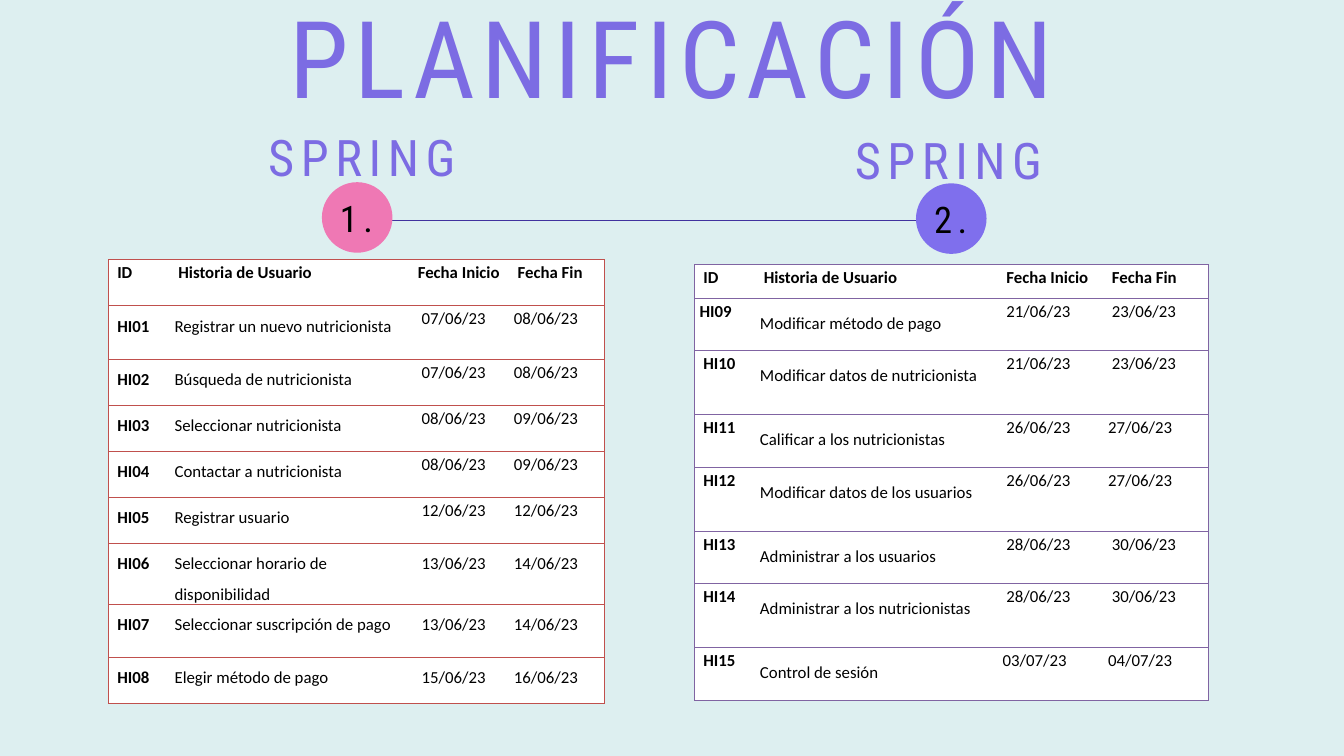
"""Builds the planning slide: two sprints, each with its table of user stories."""
import pptx
import pptx.dml.color
import pptx.enum.shapes
import pptx.enum.text
import pptx.oxml
import pptx.oxml.ns
import pptx.util

Pt = pptx.util.Pt
DISPLAY, BODY = "Roboto Condensed", "Calibri"
BACKGROUND, VIOLET, BLACK, WHITE, LINE = "DDEFF0", "7C6CE3", "000000", "FFFFFF", "40329E"
NO_STYLE = "{2D5ABB26-0587-4C30-8999-92F81FD0307C}"

TITLE = "PLANIFICACIÓN"
SPRINTS = [
    {
        "label": "SPRING", "label_at": (274.3, 118.8), "number": "1.", "circle": "EF78B4",
        "circle_at": (344.9, 195.2), "table_at": (116.6, 278), "border": "C0504D",
        "widths": (65.5, 260.6, 103, 102.2),
        "heights": (49.7, 56.9, 49.5, 49.2, 49.5, 49.2, 56.9, 56.9, 49.2),
        "loose_columns": (0, 1), "loose_from": 6, "story_inset": 0,
        "rows": [
            (" ID", " Historia de Usuario", "Fecha Inicio", " Fecha Fin"),
            (" HI01", "Registrar un nuevo nutricionista", " 07/06/23", "08/06/23"),
            (" HI02", "Búsqueda de nutricionista", " 07/06/23", "08/06/23"),
            (" HI03", "Seleccionar nutricionista", " 08/06/23", "09/06/23"),
            (" HI04", "Contactar a nutricionista", " 08/06/23", "09/06/23"),
            (" HI05", "Registrar usuario", " 12/06/23", "12/06/23"),
            (" HI06", "Seleccionar horario de disponibilidad", " 13/06/23", "14/06/23"),
            (" HI07", "Seleccionar suscripción de pago", " 13/06/23", "14/06/23"),
            (" HI08", "Elegir método de pago", " 15/06/23", "16/06/23"),
        ],
    },
    {
        "label": "SPRING", "label_at": (902.9, 121.7), "number": "2.", "circle": "7F6FED",
        "circle_at": (981.4, 196.4), "table_at": (744.5, 283.7), "border": "8064A2",
        "widths": (64.8, 260, 113, 112.3),
        "heights": (36, 56.2, 68.6, 56.2, 68.6, 56.2, 68.6, 56.2),
        "loose_columns": (1,), "loose_from": 8, "story_inset": 5,
        "rows": [
            (" ID", " Historia de Usuario", " Fecha Inicio", " Fecha Fin"),
            ("HI09", "Modificar método de pago", " 21/06/23", " 23/06/23"),
            (" HI10", "Modificar datos de nutricionista", " 21/06/23", " 23/06/23"),
            (" HI11", "Calificar a los nutricionistas", " 26/06/23", "27/06/23"),
            (" HI12", "Modificar datos de los usuarios", " 26/06/23", "27/06/23"),
            (" HI13", "Administrar a los usuarios", " 28/06/23", " 30/06/23"),
            (" HI14", "Administrar a los nutricionistas", " 28/06/23", " 30/06/23"),
            (" HI15", "Control de sesión", "03/07/23", "04/07/23"),
        ],
    },
]


def paint(target, color):
    target.solid()
    target.fore_color.rgb = pptx.dml.color.RGBColor.from_string(color)


def style(span, font, size, color, bold=False):
    span.font.name, span.font.size, span.font.bold = font, Pt(size), bold
    paint(span.font.fill, color)


def place(shape, left, top, width, height):
    shape.left, shape.top, shape.width, shape.height = map(Pt, (left, top, width, height))


def write_display(box, text, size, color, leading, tracking, insets, anchor):
    frame = box.text_frame
    frame.word_wrap, frame.vertical_anchor = True, anchor
    frame.auto_size = pptx.enum.text.MSO_AUTO_SIZE.NONE
    frame.margin_left = frame.margin_right = Pt(insets[0])
    frame.margin_top = frame.margin_bottom = Pt(insets[1])
    frame.text = text
    para = frame.paragraphs[0]
    para.alignment, para.line_spacing = pptx.enum.text.PP_ALIGN.CENTER, Pt(leading)
    span = para.runs[0]
    style(span, DISPLAY, size, color)
    span.font._element.set("spc", str(round(tracking * 100)))


def add_marker(page, sprint):
    left, top = sprint["circle_at"]
    group = page.shapes.add_group_shape()
    circle = group.shapes.add_shape(
        pptx.enum.shapes.MSO_SHAPE.OVAL, Pt(left), Pt(top), Pt(75.6), Pt(75.6))
    circle.shadow.inherit = False
    paint(circle.fill, sprint["circle"])
    circle.line.fill.background()
    box = group.shapes.add_textbox(Pt(left + 6.5), Pt(top - 0.7), Pt(61.2), Pt(69.1))
    write_display(box, sprint["number"], 39.2, BLACK, 54.9, 5.9, (4.3, 4.3),
                  pptx.enum.text.MSO_ANCHOR.MIDDLE)


def add_label(page, sprint):
    left, top = sprint["label_at"]
    box = page.shapes.add_textbox(Pt(left), Pt(top), Pt(226.8), Pt(75.6))
    write_display(box, sprint["label"], 54, VIOLET, 77.7, 7.1, (7.2, 3.6),
                  pptx.enum.text.MSO_ANCHOR.TOP)


def add_borders(cell, sides, color):
    properties = cell._tc.get_or_add_tcPr()
    for side in sides:
        properties.append(pptx.oxml.parse_xml(
            f'<a:ln{side} {pptx.oxml.ns.nsdecls("a")} w="12700"><a:solidFill>'
            f'<a:srgbClr val="{color}"/></a:solidFill></a:ln{side}>'))


def add_stories(page, sprint):
    rows, widths, heights = sprint["rows"], sprint["widths"], sprint["heights"]
    left, top = sprint["table_at"]
    table = page.shapes.add_table(len(rows), len(widths), Pt(left), Pt(top),
                                  Pt(sum(widths)), Pt(sum(heights))).table
    table._tbl.tblPr.find(pptx.oxml.ns.qn("a:tableStyleId")).text = NO_STYLE
    table.first_row = table.horz_banding = False
    for column, width in zip(table.columns, widths):
        column.width = Pt(width)
    for r, (row, height) in enumerate(zip(rows, heights)):
        table.rows[r].height = Pt(height)
        for c, text in enumerate(row):
            cell = table.cell(r, c)
            sides = {0: "LTB", len(row) - 1: "RTB"}.get(c, "TB")
            add_borders(cell, sides, sprint["border"])
            paint(cell.fill, WHITE)
            cell.margin_left = cell.margin_right = Pt(5)
            cell.margin_top = cell.margin_bottom = Pt(sprint["story_inset"] if r and c == 1 else 0)
            cell.text_frame.text = text
            para = cell.text_frame.paragraphs[0]
            loose = r and (c in sprint["loose_columns"] or r >= sprint["loose_from"])
            para.line_spacing = 1.5 if loose else 1.15
            para.space_after = Pt(8)
            style(para.runs[0], BODY, 18, BLACK, bold=r == 0 or c == 0)


def main():
    deck = pptx.Presentation()
    deck.slide_width, deck.slide_height = Pt(1440), Pt(810)
    page = deck.slides.add_slide(deck.slide_layouts[5])
    paint(page.background.fill, BACKGROUND)
    title = page.shapes.title
    place(title, 80.6, 51.1, 1278, 78.5)
    write_display(title, TITLE, 115, VIOLET, 77.7, 7.1, (0, 0), pptx.enum.text.MSO_ANCHOR.TOP)
    timeline = page.shapes.add_connector(
        pptx.enum.shapes.MSO_CONNECTOR.STRAIGHT, Pt(419.8), Pt(236.2), Pt(988.6), Pt(236.2))
    paint(timeline.line.fill, LINE)
    timeline.line.width = Pt(0.75)
    timeline._element.spPr.append(
        pptx.oxml.parse_xml(f'<a:effectLst {pptx.oxml.ns.nsdecls("a")}/>'))
    for add_part in (add_marker, add_label, add_stories):
        for sprint in SPRINTS:
            add_part(page, sprint)
    deck.save("out.pptx")


if __name__ == "__main__":
    main()
